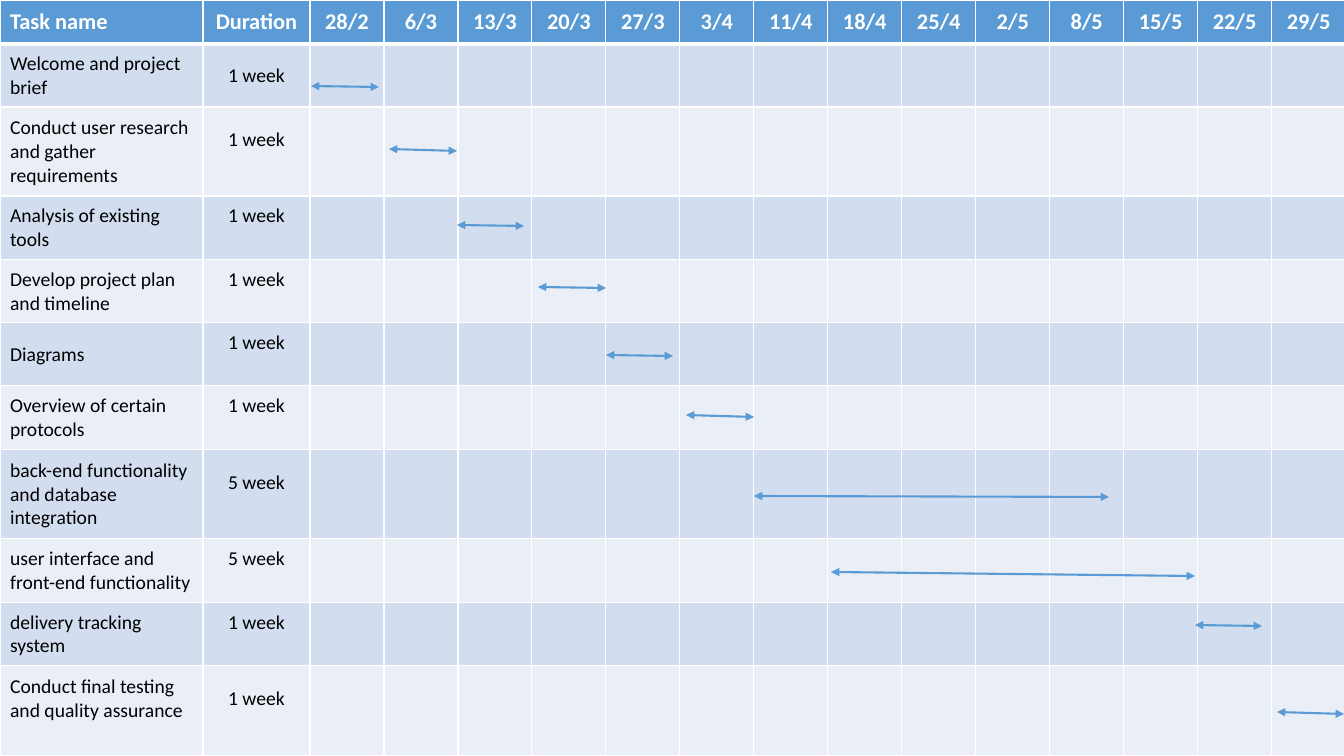
import pptx
import pptx.dml.color
import pptx.enum.shapes
import pptx.enum.text
import pptx.oxml
import pptx.oxml.ns
import pptx.util

RGBColor = pptx.dml.color.RGBColor
ALIGN = pptx.enum.text.PP_ALIGN
BLUE = RGBColor(0x5B, 0x9B, 0xD5)
BAND_DARK = RGBColor(0xD2, 0xDE, 0xEF)
BAND_LIGHT = RGBColor(0xEA, 0xEF, 0xF7)
WHITE = RGBColor(0xFF, 0xFF, 0xFF)
BLACK = RGBColor(0x00, 0x00, 0x00)

SLIDE_WIDTH, SLIDE_HEIGHT = 1344, 756
EMU_PER_PX = 12192000 / SLIDE_WIDTH
DRAWING_NS = pptx.oxml.ns.nsdecls("a")

DATES = ["28/2", "6/3", "13/3", "20/3", "27/3", "3/4", "11/4",
         "18/4", "25/4", "2/5", "8/5", "15/5", "22/5", "29/5"]
COLUMN_WIDTHS = [203, 107] + [74] * len(DATES)
HEADER_HEIGHT = 44
RAISED_BOTTOM = 29  # bottom margin that lifts text by half a line

# task, duration, row height, arrow from x, y to x, y
TASKS = [
    ("Welcome and project brief", "1 week", 63, (311, 86, 379, 87)),
    ("Conduct user research and gather requirements", "1 week", 89,
     (389, 149, 457, 151)),
    ("Analysis of existing tools", "1 week", 64, (457, 225, 524, 226)),
    ("Develop project plan and timeline", "1 week", 63, (538, 287, 606, 288)),
    ("Diagrams", "1 week", 63, (606, 355, 673, 356)),
    ("Overview of certain protocols", "1 week", 64, (686, 415, 754, 417)),
    ("back-end functionality and database integration", "5 week", 89,
     (754, 496, 1109, 497)),
    ("user interface and front-end functionality", "5 week", 64,
     (831, 572, 1195, 576)),
    ("delivery tracking system", "1 week", 63, (1195, 625, 1262, 626)),
    ("Conduct final testing and quality assurance", "1 week", 90,
     (1277, 712, 1344, 714)),
]


def px(length):
    return pptx.util.Emu(round(length * EMU_PER_PX))


def apply_format(target, values):
    for name, value in values.items():
        setattr(target, name, value)


class GanttSlide:
    """Holds the text styles and the slide being drawn."""

    header_font = {"name": "Calibri", "size": pptx.util.Pt(16), "bold": True}
    body_font = {"name": "Calibri", "size": pptx.util.Pt(14), "bold": False}

    def __init__(self, presentation):
        self.slide = presentation.slides.add_slide(presentation.slide_layouts[6])

    def add_table(self, column_widths, row_heights):
        frame = self.slide.shapes.add_table(
            len(row_heights), len(column_widths), 0, 0,
            px(sum(column_widths)), px(sum(row_heights)))
        table = frame.table
        for column, width in zip(table.columns, column_widths):
            column.width = px(width)
        for row, height in zip(table.rows, row_heights):
            row.height = px(height)
        return table

    def add_borders(self, cell, top, bottom):
        """Draw white cell edges; top and bottom are widths in points."""
        properties = cell._tc.get_or_add_tcPr()
        for side, width in (("L", 1), ("R", 1), ("T", top), ("B", bottom)):
            properties.append(pptx.oxml.parse_xml(
                f'<a:ln{side} {DRAWING_NS} w="{pptx.util.Pt(width)}"><a:solidFill>'
                f'<a:srgbClr val="{WHITE}"/></a:solidFill></a:ln{side}>'))

    def format_cell(self, cell, fill, top, bottom):
        self.add_borders(cell, top, bottom)
        cell.fill.solid()
        cell.fill.fore_color.rgb = fill
        cell.vertical_anchor = pptx.enum.text.MSO_ANCHOR.MIDDLE

    def write_cell(self, cell, text, font, color, alignment):
        paragraph = cell.text_frame.paragraphs[0]
        paragraph.alignment = alignment
        run = paragraph.add_run()
        run.text = text
        apply_format(run.font, font)
        run.font.color.rgb = color

    def add_arrow(self, start_x, start_y, end_x, end_y):
        arrow = self.slide.shapes.add_connector(
            pptx.enum.shapes.MSO_CONNECTOR.STRAIGHT,
            px(start_x), px(start_y), px(end_x), px(end_y))
        arrow.line.color.rgb = BLUE
        arrow.line.width = pptx.util.Pt(1.5)
        line = arrow.line._get_or_add_ln()
        for end in ("headEnd", "tailEnd"):
            line.append(pptx.oxml.parse_xml(
                f'<a:{end} {DRAWING_NS} type="triangle"/>'))
        arrow._element.spPr.append(
            pptx.oxml.parse_xml(f"<a:effectLst {DRAWING_NS}/>"))


def main():
    presentation = pptx.Presentation()
    presentation.slide_width = px(SLIDE_WIDTH)
    presentation.slide_height = px(SLIDE_HEIGHT)
    gantt = GanttSlide(presentation)

    row_heights = [HEADER_HEIGHT] + [height for _, _, height, _ in TASKS]
    table = gantt.add_table(COLUMN_WIDTHS, row_heights)

    for column, text in enumerate(["Task name", "Duration"] + DATES):
        cell = table.cell(0, column)
        gantt.format_cell(cell, BLUE, 1, 3)
        gantt.write_cell(cell, text, gantt.header_font, WHITE,
                         ALIGN.CENTER if column else ALIGN.LEFT)

    for row, (task, duration, _, arrow) in enumerate(TASKS, start=1):
        fill = BAND_DARK if row % 2 else BAND_LIGHT
        for column in range(len(COLUMN_WIDTHS)):
            gantt.format_cell(table.cell(row, column), fill,
                              3 if row == 1 else 1, 1)
        task_cell, duration_cell = table.cell(row, 0), table.cell(row, 1)
        gantt.write_cell(task_cell, task, gantt.body_font, BLACK, ALIGN.LEFT)
        gantt.write_cell(duration_cell, duration, gantt.body_font, BLACK,
                         ALIGN.CENTER)
        if row > 1:
            duration_cell.margin_bottom = px(RAISED_BOTTOM)
        if row == len(TASKS):
            task_cell.margin_bottom = px(RAISED_BOTTOM)
        gantt.add_arrow(*arrow)

    presentation.save("out.pptx")


if __name__ == "__main__":
    main()
